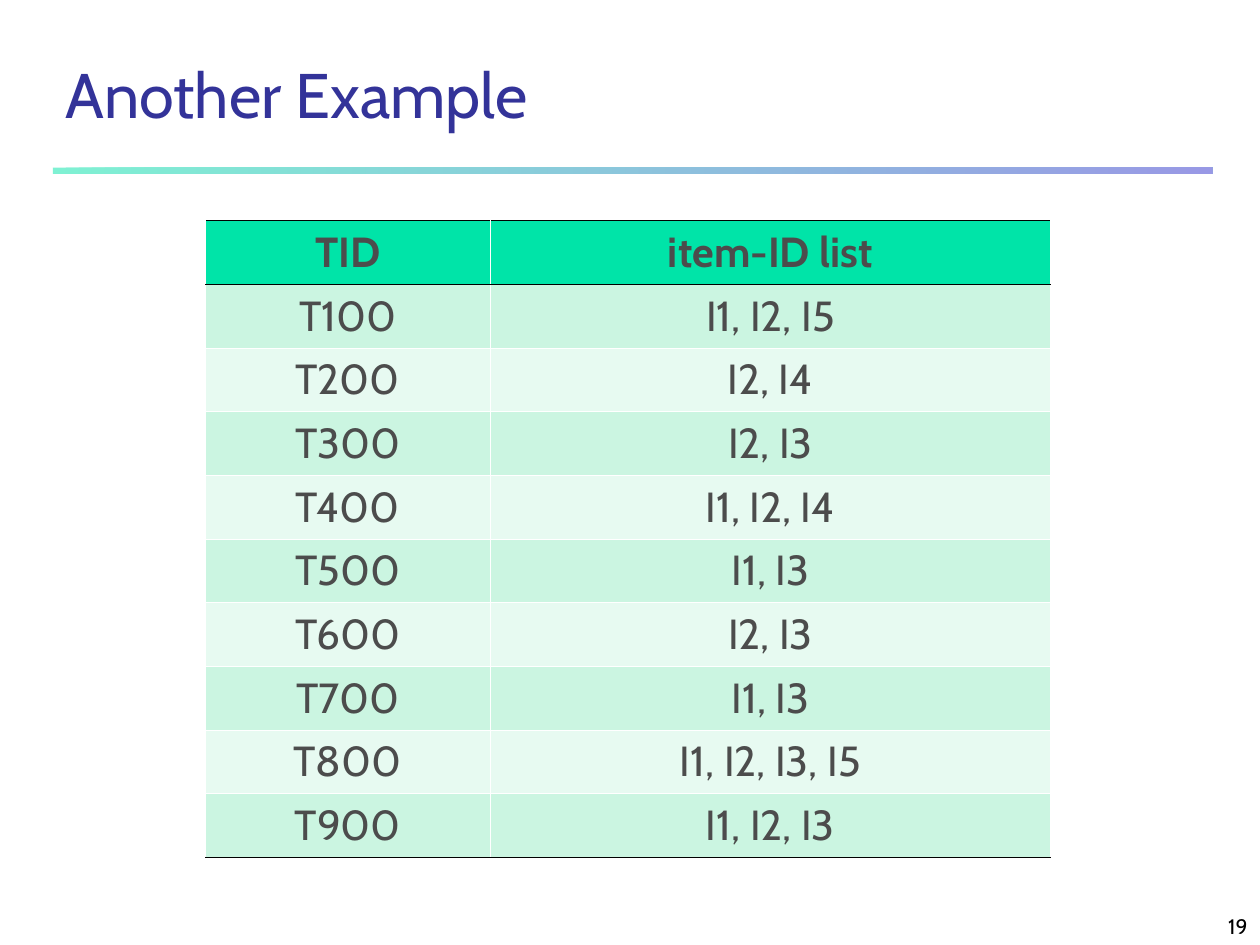
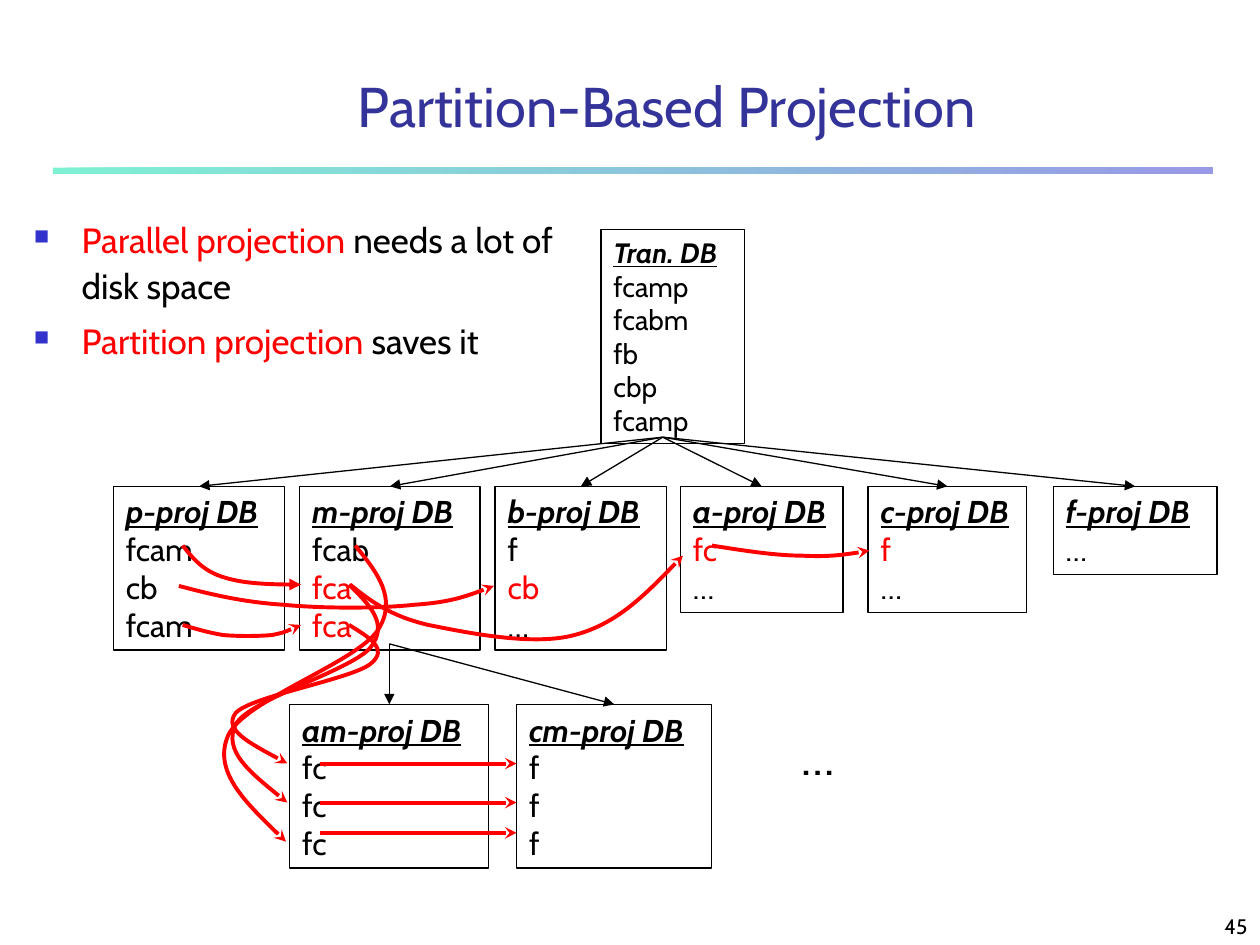
"""Builds two slides on frequent-pattern mining: a transaction table and a projection tree."""
from dataclasses import dataclass

from lxml.etree import SubElement
from pptx import Presentation
from pptx.dml.color import RGBColor
from pptx.enum.shapes import MSO_CONNECTOR as Connector, MSO_SHAPE as Shape
from pptx.enum.text import MSO_ANCHOR as Anchor, MSO_AUTO_SIZE as AutoSize, PP_ALIGN as Align
from pptx.oxml import parse_xml
from pptx.oxml.ns import nsdecls, qn
from pptx.util import Inches, Pt


@dataclass(frozen=True)
class Theme:
    """Holds the colours, type sizes, line weights and grid of the deck."""
    font: str = "Cabin"
    columns: float = 10
    rows: float = 7.5
    title: str = "333399"
    ink: str = "000000"
    accent: str = "FF0000"
    mint: str = "00E4A8"
    blue: str = "3333CC"
    white: str = "FFFFFF"
    cell_ink: str = "4C4C4C"
    stripes: tuple = ("E7FAF1", "CBF5E1")
    table_size: int = 24
    body_size: int = 20
    box_size: int = 18
    small_size: int = 16
    page_size: int = 12
    ellipsis_size: int = 28
    thin: float = 0.75
    thick: float = 2.25
    border: float = 0.45


THEME = Theme()
TRANSACTIONS = [
    ("TID", "item-ID list"), ("T100", "I1, I2, I5"), ("T200", "I2, I4"),
    ("T300", "I2, I3"), ("T400", "I1, I2, I4"), ("T500", "I1, I3"),
    ("T600", "I2, I3"), ("T700", "I1, I3"), ("T800", "I1, I2, I3, I5"),
    ("T900", "I1, I2, I3"),
]
FIRST_LEVEL = [
    ("p-proj DB", 0.9, 1.36, ["fcam", "cb", "fcam"], ()),
    ("m-proj DB", 2.38, 1.43, ["fcab", "fca", "fca"], ("fca",)),
    ("b-proj DB", 3.93, 1.36, ["f", "cb", "…"], ("cb",)),
    ("a-proj DB", 5.4, 1.29, ["fc", "…"], ("fc",)),
    ("c-proj DB", 6.89, 1.26, ["f", "…"], ("f",)),
    ("f-proj DB", 8.36, 1.3, ["…"], ()),
]
SECOND_LEVEL = [
    ("am-proj DB", 2.3, 1.58, ["fc"] * 3, ()),
    ("cm-proj DB", 4.1, 1.55, ["f"] * 3, ()),
]
PROJECTION_CURVES = [
    [(2.78, 4.64), (2.94, 4.77), (3.1, 4.89), (3.4, 4.96), (3.7, 5.02),
     (4.23, 5.13), (4.56, 5.04), (4.9, 4.95), (5.16, 4.68), (5.42, 4.41)],
    [(5.65, 4.33), (5.9, 4.37), (6.16, 4.41), (6.36, 4.41),
     (6.57, 4.42), (6.73, 4.4), (6.9, 4.37)],
    [(1.45, 4.96), (1.55, 4.99), (1.65, 5.02), (1.77, 5.04),
     (1.88, 5.05), (2.05, 5.05), (2.16, 5.04), (2.26, 5.02), (2.32, 4.99), (2.39, 4.96)],
    [(2.77, 4.96), (2.93, 5.06), (3.09, 5.15), (2.94, 5.27),
     (2.79, 5.39), (1.98, 5.53), (1.87, 5.66), (1.77, 5.79), (2.02, 5.92), (2.28, 6.06)],
    [(2.77, 4.64), (2.93, 4.8), (3.09, 4.95), (2.94, 5.14),
     (2.79, 5.32), (1.98, 5.55), (1.87, 5.75), (1.77, 5.96), (2.02, 6.16), (2.28, 6.37)],
    [(2.82, 4.33), (2.99, 4.54), (3.16, 4.75), (3, 5),
     (2.83, 5.26), (1.93, 5.56), (1.81, 5.84), (1.69, 6.12), (1.98, 6.4), (2.27, 6.68)],
    [(1.42, 4.65), (1.68, 4.72), (1.94, 4.78), (2.25, 4.8),
     (2.56, 4.83), (3.01, 4.83), (3.29, 4.8), (3.57, 4.78), (3.74, 4.72), (3.92, 4.65)],
]
FIRST_CURVE = [(1.45, 4.33), (1.53, 4.43), (1.61, 4.53), (1.77, 4.58),
               (1.92, 4.63), (2.16, 4.64), (2.39, 4.64)]


def grid(*cells):
    """Turns grid columns and rows into lengths; one cell is one inch square."""
    return [Inches(cell) for cell in cells]


def rgb(color):
    """Returns the colour object for a hex string."""
    return RGBColor.from_string(color)


def add_span(para, text, size=THEME.body_size, color=THEME.ink, heading=False, bold=False):
    """Adds a formatted run of text to a paragraph."""
    span = para.add_run()
    span.text = text
    font = span.font
    font.name, font.size, font.bold = THEME.font, Pt(size), bold or heading
    font.italic = font.underline = heading
    font.color.rgb = rgb(color)


def set_frame(frame, anchor=Anchor.TOP, right=0.1):
    """Gives a text frame fixed size, wrapping and an anchor, and returns it."""
    frame.word_wrap, frame.auto_size = True, AutoSize.NONE
    frame.vertical_anchor, frame.margin_right = anchor, Inches(right)
    return frame


def add_label(page, area, text, align=Align.LEFT, anchor=Anchor.TOP, **style):
    """Adds a one-line text box."""
    frame = set_frame(page.shapes.add_textbox(*grid(*area)).text_frame, anchor)
    frame.paragraphs[0].alignment = align
    add_span(frame.paragraphs[0], text, **style)


def add_band(page):
    """Draws the half-transparent gradient rule under the title."""
    band = page.shapes.add_shape(Shape.RECTANGLE, *grid(0.42, 1.33, 9.2, 0.05))
    band.shadow.inherit = False
    band.line.fill.background()
    band.fill.gradient()
    band.fill.gradient_angle = 0
    for stop, color in zip(band.fill.gradient_stops, (THEME.mint, THEME.blue)):
        stop.color.rgb = rgb(color)
    for color in band.fill._xPr.iter(qn("a:srgbClr")):
        SubElement(color, qn("a:alpha"), val="50000")


def add_page(deck, title, area, number, size, align=Align.LEFT, anchor=Anchor.BOTTOM):
    """Adds a slide with its title, gradient band and page number."""
    page = deck.slides.add_slide(deck.slide_layouts[5])
    box = page.shapes.title
    box.left, box.top, box.width, box.height = grid(*area)
    para = set_frame(box.text_frame, anchor).paragraphs[0]
    para.alignment = align
    add_span(para, title, size=size, color=THEME.title)
    add_band(page)
    add_label(page, (7.92, 7.08, 2.08, 0.42), number, Align.RIGHT, Anchor.BOTTOM,
              size=THEME.page_size)
    return page


def set_borders(cell, **colors):
    """Draws the four borders of a table cell; white unless a side is named."""
    props = cell._tc.get_or_add_tcPr()
    for index, side in enumerate("LRTB"):
        props.insert(index, parse_xml(
            f'<a:ln{side} {nsdecls("a")} w="{Pt(THEME.border)}"><a:solidFill>'
            f'<a:srgbClr val="{colors.get(side, THEME.white)}"/></a:solidFill></a:ln{side}>'))


def add_table(page, rows):
    """Adds the striped transaction table with ruled header and foot."""
    height = 0.42
    table = page.shapes.add_table(len(rows), 2, *grid(1.63, 1.75, 6.71, len(rows) * height)).table
    table.horz_banding = table.first_row = False
    for column, width in zip(table.columns, (2.26, 4.45)):
        column.width = Inches(width)
    for index, values in enumerate(rows):
        table.rows[index].height = Inches(height)
        header = index == 0
        rules = {}
        if index <= 1:
            rules["T"] = THEME.ink
        if header or index == len(rows) - 1:
            rules["B"] = THEME.ink
        for cell, value in zip(table.rows[index].cells, values):
            cell.vertical_anchor = Anchor.MIDDLE
            cell.fill.solid()
            cell.fill.fore_color.rgb = rgb(THEME.mint if header else THEME.stripes[index % 2])
            set_borders(cell, **rules)
            para = cell.text_frame.paragraphs[0]
            para.alignment = Align.CENTER
            add_span(para, value, size=THEME.table_size, color=THEME.cell_ink, bold=header)


def add_bullets(page, area, items):
    """Adds square-bulleted lines that open with an accented phrase."""
    frame = set_frame(page.shapes.add_textbox(*grid(*area)).text_frame)
    for index, (phrase, rest) in enumerate(items):
        para = frame.add_paragraph() if index else frame.paragraphs[0]
        props = para._p.get_or_add_pPr()
        props.set("marL", str(Inches(0.38)))
        props.set("indent", str(-Inches(0.38)))
        SubElement(SubElement(props, qn("a:buClr")), qn("a:srgbClr"), val=THEME.blue)
        SubElement(props, qn("a:buSzPct"), val="60000")
        SubElement(props, qn("a:buChar"), char="■")
        para.line_spacing = 1.1
        para.space_before = Pt(5 if index else 0)
        add_span(para, phrase, color=THEME.accent)
        add_span(para, rest)


def add_database(page, name, left, width, items, projected, top, size=THEME.box_size):
    """Adds a database box whose height follows its lines."""
    height = 0.1 + (len(items) + 1) * size / 60
    box = page.shapes.add_shape(Shape.RECTANGLE, *grid(left, top, width, height))
    box.shadow.inherit = False
    box.fill.background()
    box.line.color.rgb, box.line.width = rgb(THEME.ink), Pt(THEME.thin)
    frame = set_frame(box.text_frame, right=0)
    for index, item in enumerate([name, *items]):
        para = frame.add_paragraph() if index else frame.paragraphs[0]
        para.alignment = Align.LEFT
        color = THEME.accent if item in projected else THEME.ink
        add_span(para, item, size=size, color=color, heading=index == 0)
    return box


def style_arrow(arrow, color, weight, tip):
    """Sets the line of an arrow and the shape of its tip."""
    arrow.line.color.rgb, arrow.line.width = rgb(color), Pt(weight)
    SubElement(arrow.line._get_or_add_ln(), qn("a:tailEnd"), type=tip)


def add_arrow(page, start, end, color=THEME.ink, weight=THEME.thin, tip="triangle"):
    """Adds a straight arrow to a point, or to the top of a box."""
    joined = not isinstance(end, tuple)
    target = start if joined else end
    arrow = page.shapes.add_connector(Connector.STRAIGHT, *grid(*start, *target))
    if joined:
        arrow.end_connect(end, 0)
    style_arrow(arrow, color, weight, tip)
    SubElement(arrow._element.spPr, qn("a:effectLst"))


def add_curve(page, points, tip="stealth"):
    """Adds a curved arrow from a start point and triples of Bezier points."""
    start, *controls = [tuple(grid(*point)) for point in points]
    builder = page.shapes.build_freeform(*start)
    builder.add_line_segments(controls, close=False)
    curve = builder.convert_to_shape()
    curve.shadow.inherit = False
    curve.fill.background()
    outline = next(curve._element.iter(qn("a:path")))
    steps = outline.findall(qn("a:lnTo"))
    for first in range(0, len(steps), 3):
        bend = SubElement(outline, qn("a:cubicBezTo"))
        for step in steps[first:first + 3]:
            bend.append(step[0])
            outline.remove(step)
    style_arrow(curve, THEME.accent, THEME.thick, tip)


def add_projection_tree(page):
    """Draws the database boxes and the arrows between them."""
    add_database(page, "Tran. DB", 4.77, 1.14, ["fcamp", "fcabm", "fb", "cbp", "fcamp"], (),
                 top=1.82, size=THEME.small_size)
    for start, level, top in (((5.26, 3.47), FIRST_LEVEL, 3.86), ((3.09, 5.11), SECOND_LEVEL, 5.59)):
        for database in level:
            add_arrow(page, start, add_database(page, *database, top=top))
    add_curve(page, FIRST_CURVE, tip="triangle")
    for points in PROJECTION_CURVES:
        add_curve(page, points)
    for row in (6.06, 6.37, 6.61):
        add_arrow(page, (2.54, row), (4.1, row), THEME.accent, THEME.thick, "stealth")
    add_label(page, (6.26, 5.72, 0.5, 0.57), "…", size=THEME.ellipsis_size)


def main():
    """Builds and saves the deck."""
    deck = Presentation()
    deck.slide_width, deck.slide_height = grid(THEME.columns, THEME.rows)
    page = add_page(deck, "Another Example", (0.42, 0.42, 9.08, 0.67), "19", size=36)
    add_table(page, TRANSACTIONS)
    page = add_page(deck, "Partition-Based Projection", (1, 0.5, 8.59, 0.67), "45", size=32,
                    align=Align.CENTER, anchor=Anchor.MIDDLE)
    add_bullets(page, (0.17, 1.65, 4.5, 1.5), [
        ("Parallel projection ", "needs a lot of disk space"),
        ("Partition projection ", "saves it"),
    ])
    add_projection_tree(page)
    deck.save("out.pptx")


if __name__ == "__main__":
    main()
